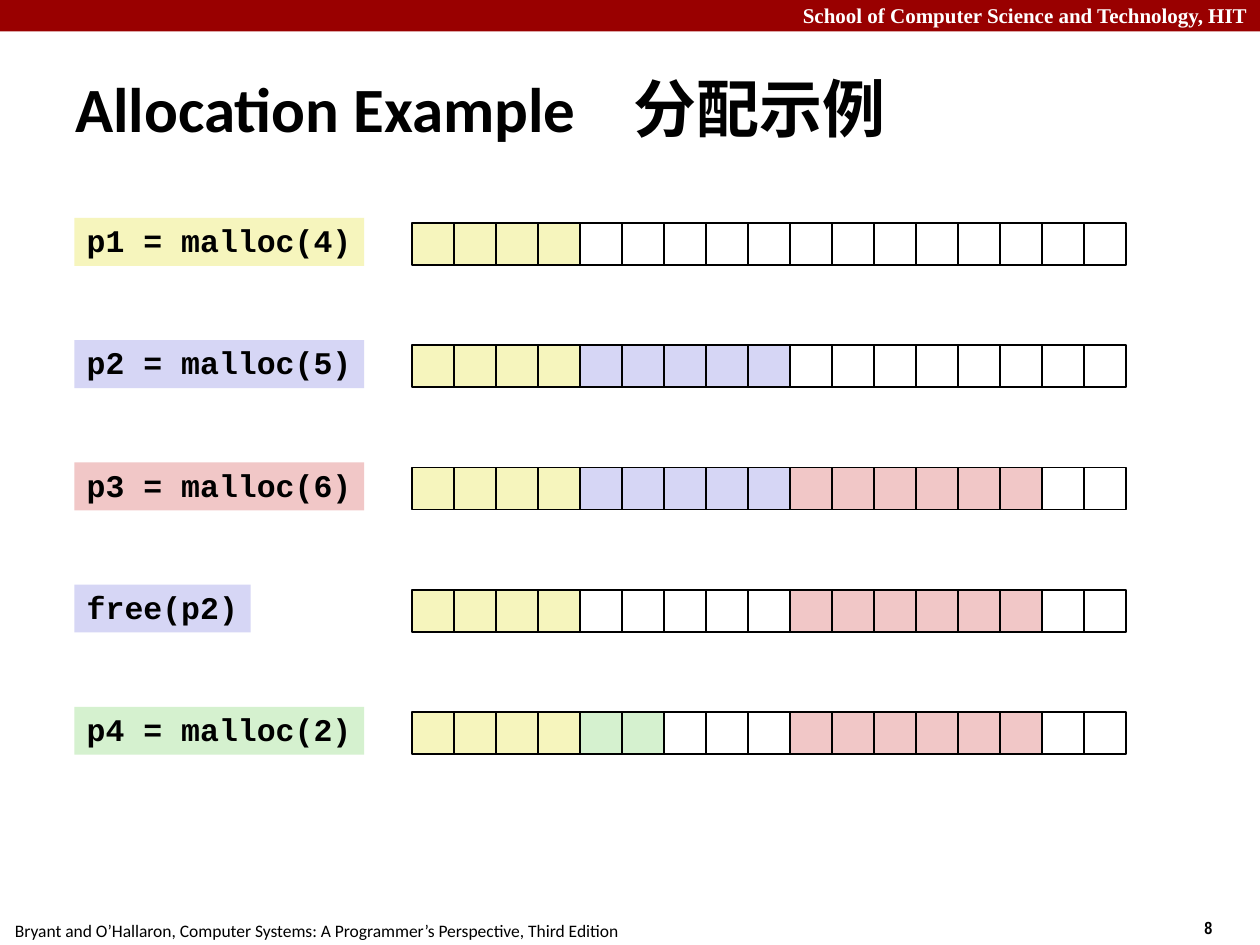
from lxml.etree import SubElement
from pptx import Presentation
from pptx.dml.color import RGBColor
from pptx.enum.shapes import MSO_SHAPE as Kind
from pptx.enum.text import MSO_ANCHOR as Anchor, PP_ALIGN as Align
from pptx.oxml.ns import qn
from pptx.util import Inches, Pt

YELLOW, BLUE, RED, GREEN = "F6F5BD", "D6D6F5", "F1C7C7", "D5F1CF"
WHITE, BLACK, MAROON = "FFFFFF", "000000", "990000"
CELL = 1 / 3
COUNT = 17
ROWS = [
    ("p1 = malloc(4)", 2.3, YELLOW, [(4, YELLOW)]),
    ("p2 = malloc(5)", 2.3, BLUE, [(4, YELLOW), (5, BLUE)]),
    ("p3 = malloc(6)", 2.3, RED, [(4, YELLOW), (5, BLUE), (6, RED)]),
    ("free(p2)", 1.4, BLUE, [(4, YELLOW), (5, WHITE), (6, RED)]),
    ("p4 = malloc(2)", 2.3, GREEN,
     [(4, YELLOW), (2, GREEN), (3, WHITE), (6, RED)]),
]


def color(code):
    return RGBColor.from_string(code)


def add_rect(shapes, x, y, w, h, fill, line=None):
    rect = shapes.add_shape(
        Kind.RECTANGLE, Inches(x), Inches(y), Inches(w), Inches(h))
    rect.shadow.inherit = False
    rect.fill.solid()
    rect.fill.fore_color.rgb = color(fill)
    if line:
        rect.line.color.rgb = color(line)
        rect.line.width = Pt(1)
    else:
        rect.line.fill.background()
    return rect


def set_text(shape, text, size, face, ink=BLACK, bold=True,
             align=Align.LEFT, anchor=Anchor.TOP, wrap=True):
    frame = shape.text_frame
    frame.word_wrap = wrap
    frame.vertical_anchor = anchor
    para = frame.paragraphs[0]
    para.text = text
    para.alignment = align
    font = para.font
    font.size, font.name, font.bold = Pt(size), face, bold
    font.color.rgb = color(ink)
    return para


def add_text(slide, x, y, w, h, *args, **style):
    box = slide.shapes.add_textbox(
        Inches(x), Inches(y), Inches(w), Inches(h))
    return set_text(box, *args, **style)


def add_tab(para, x):
    tabs = SubElement(para._p.get_or_add_pPr(), qn("a:tabLst"))
    SubElement(tabs, qn("a:tab"), pos=str(Inches(x)), algn="l")
    para._p.pPr.insert(0, tabs)


def add_heap(slide, y, runs):
    fills = [fill for count, fill in runs for _ in range(count)]
    fills += [WHITE] * (COUNT - len(fills))
    group = slide.shapes.add_group_shape()
    for i, fill in enumerate(fills):
        add_rect(group.shapes, 3.27 + i * CELL, y, CELL, CELL, fill, BLACK)


def add_label(slide, y, text, width, fill):
    label = add_rect(slide.shapes, 0.59, y, width, 0.38, fill)
    para = set_text(label, text, 18, "Courier New", wrap=False)
    para.line_spacing = 0.94


def main():
    deck = Presentation()
    deck.slide_width, deck.slide_height = Inches(10), Inches(7.5)
    slide = deck.slides.add_slide(deck.slide_layouts[6])

    add_rect(slide.shapes, 0, 0, 10, 0.25, MAROON)
    add_text(slide, 9.46, 7.23, 0.75, 0.27, "8", 10, "Arial Narrow")
    add_text(slide, 0.02, 7.25, 5.01, 0.27,
             "Bryant and O’Hallaron, Computer Systems: "
             "A Programmer’s Perspective, Third Edition",
             10, "Calibri", bold=False)
    add_text(slide, 0, -0.03, 10, 0.3,
             "School of Computer Science and Technology, HIT",
             12, "Times New Roman", ink=WHITE, align=Align.RIGHT)
    title = add_text(slide, 0.5, 0.54, 7.07, 0.63,
                     "Allocation Example\t分配示例", 36, "Calibri",
                     anchor=Anchor.MIDDLE)
    add_tab(title, 4.43)

    for i, (text, width, fill, runs) in enumerate(ROWS):
        y = 1.73 + i * 0.97
        add_heap(slide, y + 0.04, runs)
        add_label(slide, y, text, width, fill)

    deck.save("out.pptx")


if __name__ == "__main__":
    main()
